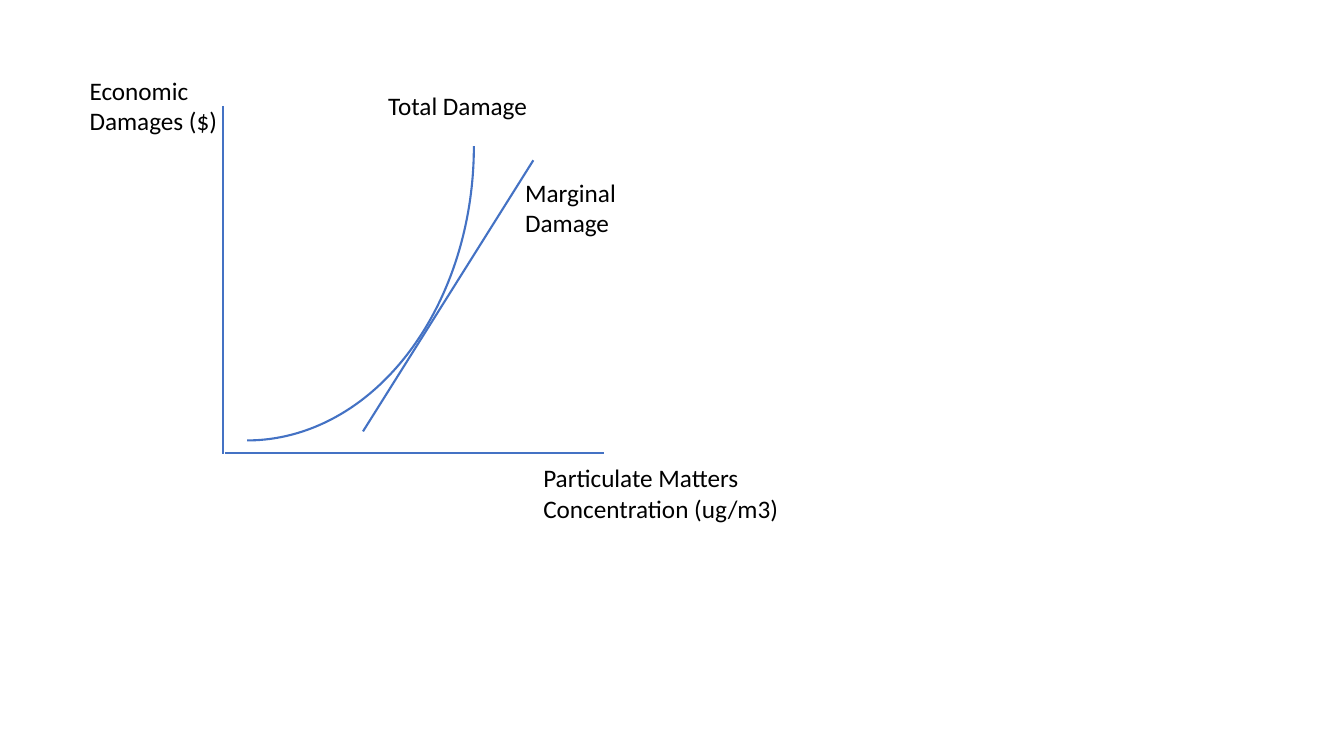
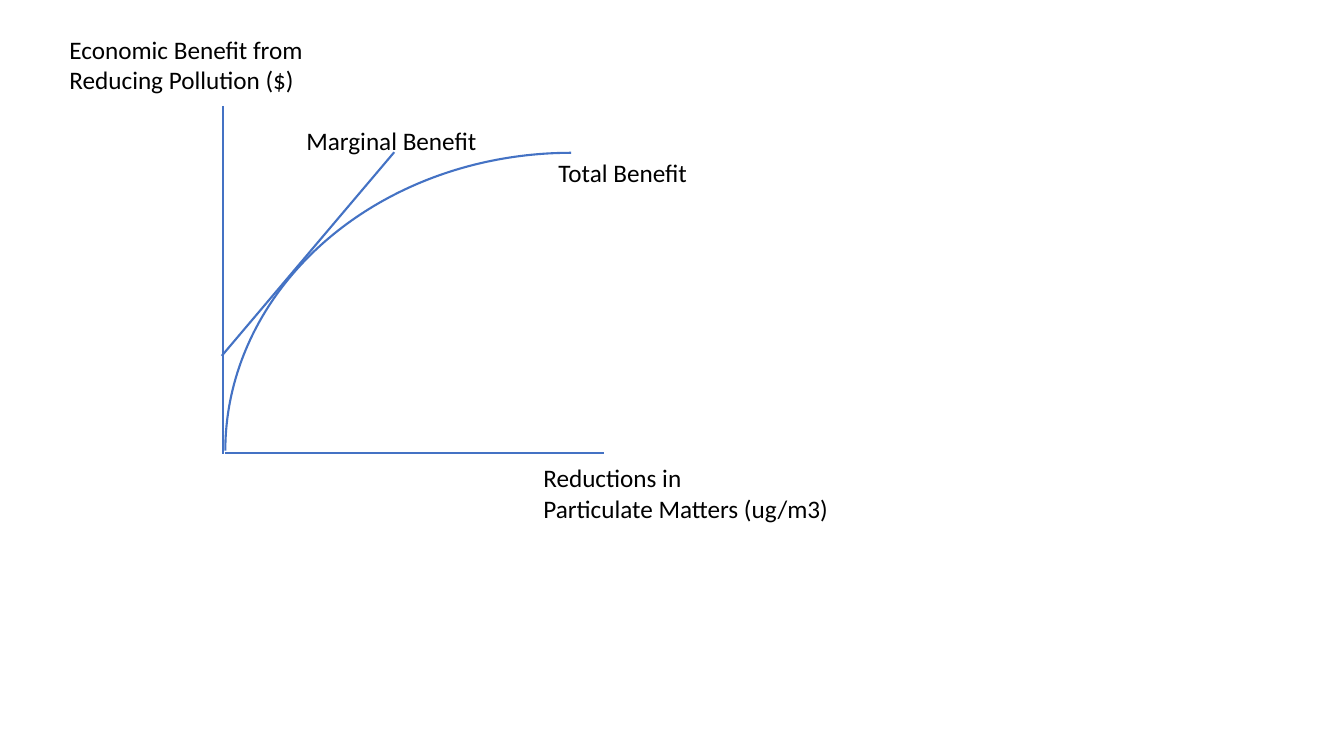
from dataclasses import dataclass

from lxml.etree import SubElement
from pptx import Presentation
from pptx.dml.color import RGBColor
from pptx.enum.shapes import MSO_CONNECTOR, MSO_SHAPE
from pptx.enum.text import MSO_AUTO_SIZE
from pptx.oxml.ns import qn
from pptx.util import Emu, Pt

EMU_PER_PX = 9144  # 100 px to the inch
BLANK_LAYOUT = 6


def px(length):
    return Emu(length * EMU_PER_PX)


@dataclass(frozen=True)
class Theme:
    line_color: RGBColor = RGBColor(0x44, 0x72, 0xC4)
    text_color: RGBColor = RGBColor(0, 0, 0)
    background: RGBColor = RGBColor(0xFF, 0xFF, 0xFF)
    font: str = "Calibri"
    label_size: float = 18
    line_width: float = 1.5


class DiagramDeck:
    def __init__(self, theme):
        self.theme = theme
        self.presentation = Presentation()
        self.presentation.slide_width = px(1333)
        self.presentation.slide_height = px(750)
        self.slide = None

    def new_slide(self):
        layout = self.presentation.slide_layouts[BLANK_LAYOUT]
        self.slide = self.presentation.slides.add_slide(layout)
        fill = self.slide.background.fill
        fill.solid()
        fill.fore_color.rgb = self.theme.background

    def style_line(self, line):
        line.color.rgb = self.theme.line_color
        line.width = Pt(self.theme.line_width)

    def line(self, start, end):
        connector = self.slide.shapes.add_connector(
            MSO_CONNECTOR.STRAIGHT, *map(px, (*start, *end)))
        self.style_line(connector.line)
        SubElement(connector._element.spPr, qn("a:effectLst"))

    def axes(self):
        self.line((221, 105), (221, 450))
        self.line((223, 449), (599, 449))

    def arc(self, left, top, width, height, rotation):
        """Draw a quarter ellipse; the frame is given before rotation."""
        shape = self.slide.shapes.add_shape(
            MSO_SHAPE.ARC, *map(px, (left, top, width, height)))
        shape.rotation = rotation
        shape.shadow.inherit = False
        shape.fill.background()
        self.style_line(shape.line)

    def label(self, text, *, left, top, width, height=40, size=None, color=None):
        """Add a wrapped label; each line of text becomes a paragraph."""
        box = self.slide.shapes.add_textbox(*map(px, (left, top, width, height)))
        frame = box.text_frame
        frame.word_wrap = True
        frame.auto_size = MSO_AUTO_SIZE.SHAPE_TO_FIT_TEXT
        frame.text = text
        for paragraph in frame.paragraphs:
            font = paragraph.font
            font.name = self.theme.font
            font.size = Pt(size or self.theme.label_size)
            font.color.rgb = color or self.theme.text_color


def damage_slide(deck):
    deck.new_slide()
    deck.axes()
    deck.arc(-47, -80, 584, 450, rotation=90)
    deck.label("Total Damage", left=375, top=85, width=169)
    deck.line((360, 428), (529, 159))
    deck.label("Marginal Damage", left=511, top=171, width=166, height=71)
    deck.label("Particulate Matters Concentration (ug/m3)",
               left=529, top=454, width=267, height=71)
    deck.label("Economic Damages ($)", left=79, top=70, width=166, height=71)


def benefit_slide(deck):
    deck.new_slide()
    deck.axes()
    deck.arc(271, 104, 591, 686, rotation=270)
    deck.label("Total Benefit", left=544, top=151, width=169)
    deck.label("Marginal Benefit", left=294, top=119, width=202)
    deck.label("Reductions in\nParticulate Matters (ug/m3)",
               left=529, top=454, width=339, height=71)
    deck.label("Economic Benefit from\nReducing Pollution ($)",
               left=59, top=29, width=349, height=71)
    deck.line((391, 151), (220, 353))


def main():
    deck = DiagramDeck(Theme())
    damage_slide(deck)
    benefit_slide(deck)
    deck.presentation.save("out.pptx")


if __name__ == "__main__":
    main()
